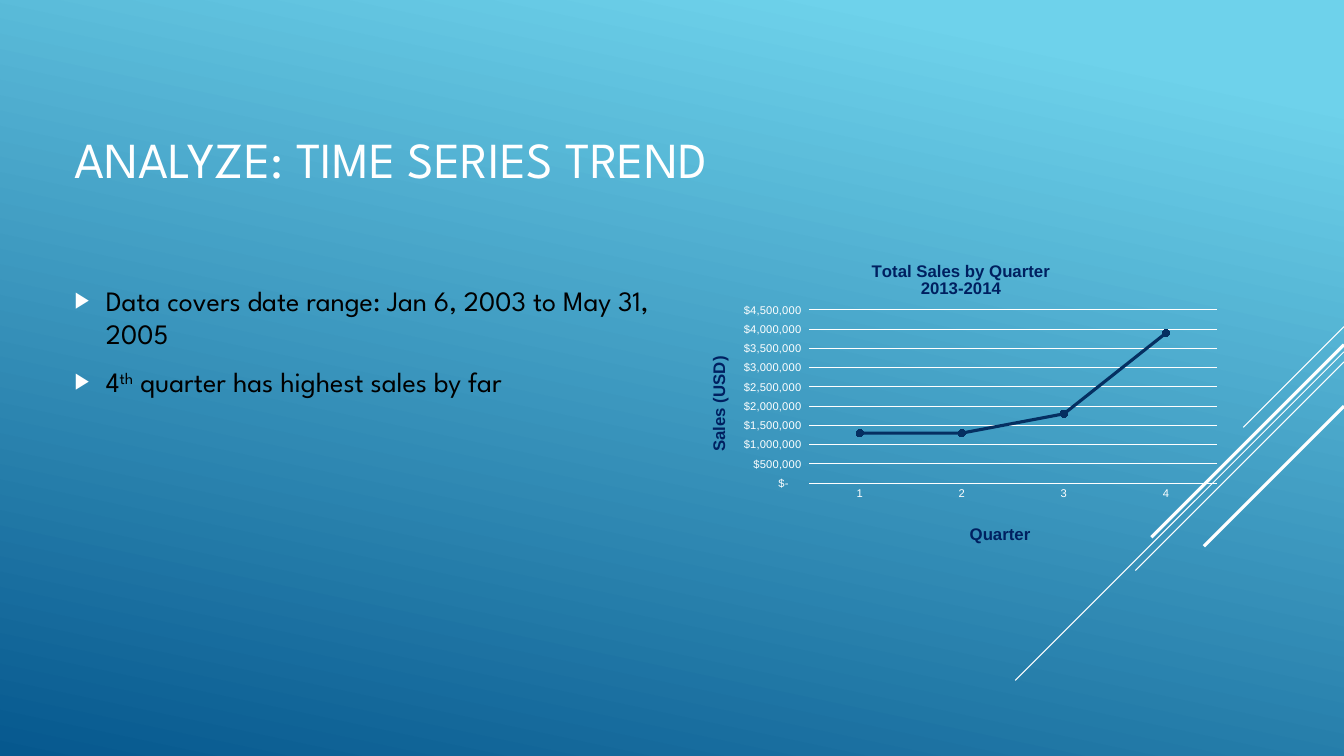
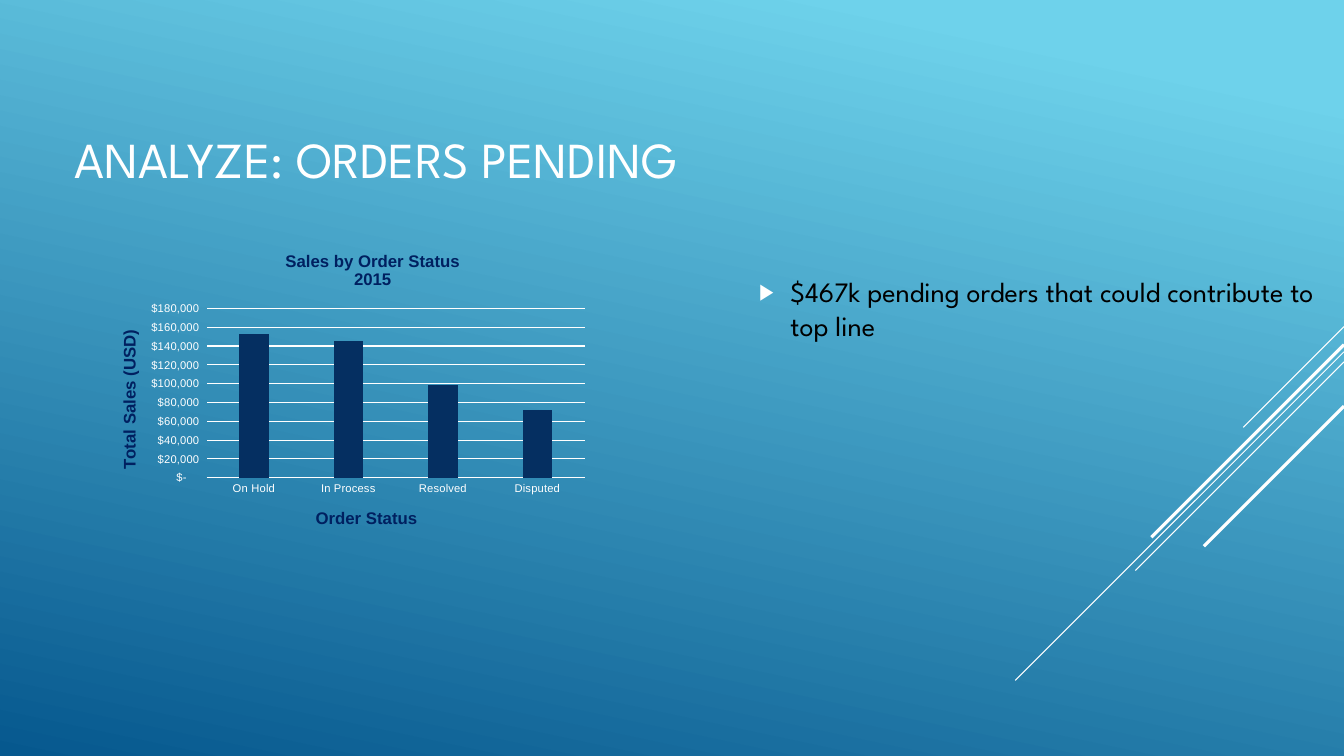
from pptx import Presentation
from pptx import util as u
from pptx.chart import data
from pptx.dml import color
from pptx.enum import chart as kinds
from pptx.enum import shapes, text
from pptx.oxml import parse_xml
from pptx.oxml import ns

COLORS = {
    "sky": "6ED2EB",
    "deep": "06588E",
    "white": "FFFFFF",
    "black": "000000",
    "heading": "002060",
    "series": "052F61",
}
TEXT_FONT = "League Spartan"
CHART_FONT = "Arial"
WIDTH, HEIGHT = 13.33, 7.5
TITLE_BOX = (0.64, 0.75, 9.33, 1.65)
PLOT_AREA = (0.23, 0.22, 0.75, 0.56)
RAYS = [(3.24, 1, 0.75), (3.49, 3.26, 0.75), (3.59, 2.07, 0.75),
        (3.42, 1.91, 2.25), (4.03, 1.39, 2.25)]
DOLLARS = '_("$"* #,##0_);_("$"* \\(#,##0\\);_("$"* "-"??_);_(@_)'

TREND = {
    "kind": kinds.XL_CHART_TYPE.LINE_MARKERS,
    "title": ("Total Sales by Quarter\n2013-2014", 0.34, 0.05),
    "category": ("Quarter", 0.52, 0.9),
    "value": ("Sales (USD)", 0.04, 0.36),
    "points": {"1": 1300000, "2": 1300000, "3": 1800000, "4": 3900000},
    "top": 4500000,
    "step": 500000,
}
PENDING = {
    "kind": kinds.XL_CHART_TYPE.COLUMN_STACKED,
    "title": ("Sales by Order Status\n2015", 0.38, 0.02),
    "category": ("Order Status", 0.44, 0.87),
    "value": ("Total Sales (USD)", 0.05, 0.28),
    "points": {"On Hold": 153000, "In Process": 145000,
               "Resolved": 98000, "Disputed": 72000},
    "top": 180000,
    "step": 20000,
}


def rgb(name):
    return color.RGBColor.from_string(COLORS[name])


def inches(box):
    return [u.Inches(length) for length in box]


def style_font(font, name, size, shade, bold=False):
    font.name, font.size, font.bold = name, u.Pt(size), bold
    font.color.rgb = rgb(shade)


def style_line(line, shade, width):
    line.color.rgb = rgb(shade)
    line.width = u.Pt(width)


def paint_background(master):
    fill = master.background.fill
    fill.gradient()
    fill.gradient_angle = 258
    for stop, shade, position in zip(fill.gradient_stops, ("sky", "deep"), (0.1, 1)):
        stop.color.rgb = rgb(shade)
        stop.position = position


def draw_rays(page):
    group = page.shapes.add_group_shape()
    for top, reach, width in RAYS:
        ends = inches((WIDTH, top, WIDTH - reach, top + reach))
        ray = group.shapes.add_connector(shapes.MSO_CONNECTOR.STRAIGHT, *ends)
        style_line(ray.line, "white", width)
        ray._element.spPr.append(parse_xml(f"<a:effectLst {ns.nsdecls('a')}/>"))


def place_text(holder, box):
    holder.left, holder.top, holder.width, holder.height = inches(box)
    frame = holder.text_frame
    frame.word_wrap = True
    frame.auto_size = text.MSO_AUTO_SIZE.NONE
    frame.vertical_anchor = text.MSO_ANCHOR.MIDDLE
    return frame


def fill_title(page, wording):
    frame = place_text(page.shapes.title, TITLE_BOX)
    frame.text = wording
    para = frame.paragraphs[0]
    para.alignment = text.PP_ALIGN.LEFT
    style_font(para.runs[0].font, TEXT_FONT, 36, "white")


def add_bullet(para):
    para.space_before, para.space_after = u.Pt(4), u.Pt(6)
    props = para._p.get_or_add_pPr()
    indent = u.Inches(0.31)
    props.set("marL", str(indent))
    props.set("indent", str(-indent))
    for mark in (f'<a:buClr {{}}><a:srgbClr val="{COLORS["white"]}"/></a:buClr>',
                 '<a:buSzPct {} val="80000"/>',
                 f'<a:buFont {{}} typeface="{CHART_FONT}"/>',
                 '<a:buChar {} char="▶"/>'):
        props.append(parse_xml(mark.format(ns.nsdecls("a"))))


def fill_bullets(page, box, items):
    frame = place_text(page.placeholders[1], box)
    for index, pieces in enumerate(items):
        para = frame.add_paragraph() if index else frame.paragraphs[0]
        add_bullet(para)
        for order, piece in enumerate(pieces):
            span = para.add_run()
            span.text = piece
            style_font(span.font, TEXT_FONT, 20, "black")
            if order % 2:
                span._r.get_or_add_rPr().set("baseline", "30000")


def set_layout(element, values, inner=False):
    layout = element.find(ns.qn("c:layout"))
    if layout is not None:
        element.remove(layout)
    target = '<c:layoutTarget val="inner"/>' if inner else ""
    modes = '<c:xMode val="edge"/><c:yMode val="edge"/>'
    sizes = "".join(f'<c:{key} val="{value}"/>' for key, value in zip("xywh", values))
    layout = parse_xml(f"<c:layout {ns.nsdecls('c')}><c:manualLayout>{target}{modes}{sizes}"
                       "</c:manualLayout></c:layout>")
    before = element.find(ns.qn("c:tx"))
    element.insert(0 if before is None else element.index(before) + 1, layout)


def fill_chart_title(title, wording, left, top):
    title.text_frame.text = wording
    for para in title.text_frame.paragraphs:
        for span in para.runs:
            style_font(span.font, CHART_FONT, 12, "heading", True)
    set_layout(title._element, (left, top))


def style_axes(chart, settings):
    for axis, key in ((chart.category_axis, "category"), (chart.value_axis, "value")):
        axis.major_tick_mark = axis.minor_tick_mark = kinds.XL_TICK_MARK.NONE
        style_font(axis.tick_labels.font, CHART_FONT, 8, "white")
        axis.has_title = True
        fill_chart_title(axis.axis_title, *settings[key])
    style_line(chart.category_axis.format.line, "white", 0.75)
    values = chart.value_axis
    turn = values.axis_title._element.find(".//" + ns.qn("a:bodyPr"))
    turn.set("rot", "-5400000")
    turn.set("vert", "horz")
    values.format.line.fill.background()
    values.has_major_gridlines = True
    style_line(values.major_gridlines.format.line, "white", 0.75)
    values.minimum_scale, values.maximum_scale = 0, settings["top"]
    values.major_unit = settings["step"]
    values.tick_labels.number_format = DOLLARS
    values.tick_labels.number_format_is_linked = False


def style_series(plot, kind):
    series = plot.series[0]
    if kind == kinds.XL_CHART_TYPE.LINE_MARKERS:
        series.smooth = False
        style_line(series.format.line, "series", 2.25)
        series.marker.style = kinds.XL_MARKER_STYLE.CIRCLE
        series.marker.size = 5
        fill = series.marker.format.fill
        style_line(series.marker.format.line, "series", 0.75)
    else:
        plot.gap_width, plot.overlap = 219, 100
        fill = series.format.fill
    fill.solid()
    fill.fore_color.rgb = rgb("series")


def draw_chart(page, box, settings):
    numbers = data.CategoryChartData()
    numbers.categories = list(settings["points"])
    numbers.add_series("Series 1", list(settings["points"].values()))
    chart = page.shapes.add_chart(settings["kind"], *inches(box), numbers).chart
    style_font(chart.font, CHART_FONT, 8, "white")
    chart.has_legend = False
    chart.has_title = True
    fill_chart_title(chart.chart_title, *settings["title"])
    style_axes(chart, settings)
    plot = chart.plots[0]
    plot.vary_by_categories = False
    style_series(plot, settings["kind"])
    set_layout(chart._chartSpace.find(".//" + ns.qn("c:plotArea")), PLOT_AREA, True)


def add_analysis(deck, title, text_box, items, chart_box, settings):
    page = deck.slides.add_slide(deck.slide_layouts[1])
    draw_rays(page)
    fill_title(page, title)
    fill_bullets(page, text_box, items)
    draw_chart(page, chart_box, settings)


def main():
    deck = Presentation()
    deck.slide_width, deck.slide_height = inches((WIDTH, HEIGHT))
    paint_background(deck.slide_master)
    add_analysis(
        deck, "ANALYZE: TIME SERIES TREND", (0.64, 2.72, 6.14, 1.32),
        [("Data covers date range: Jan 6, 2003 to May 31, 2005",),
         ("4", "th", " quarter has highest sales by far")],
        (6.78, 2.4, 5.4, 3.07), TREND)
    add_analysis(
        deck, "ANALYZE: ORDERS PENDING", (7.43, 2.4, 5.9, 1.32),
        [("$467k pending orders that could contribute to top line",)],
        (0.9, 2.4, 5, 3), PENDING)
    deck.save("out.pptx")


if __name__ == "__main__":
    main()
